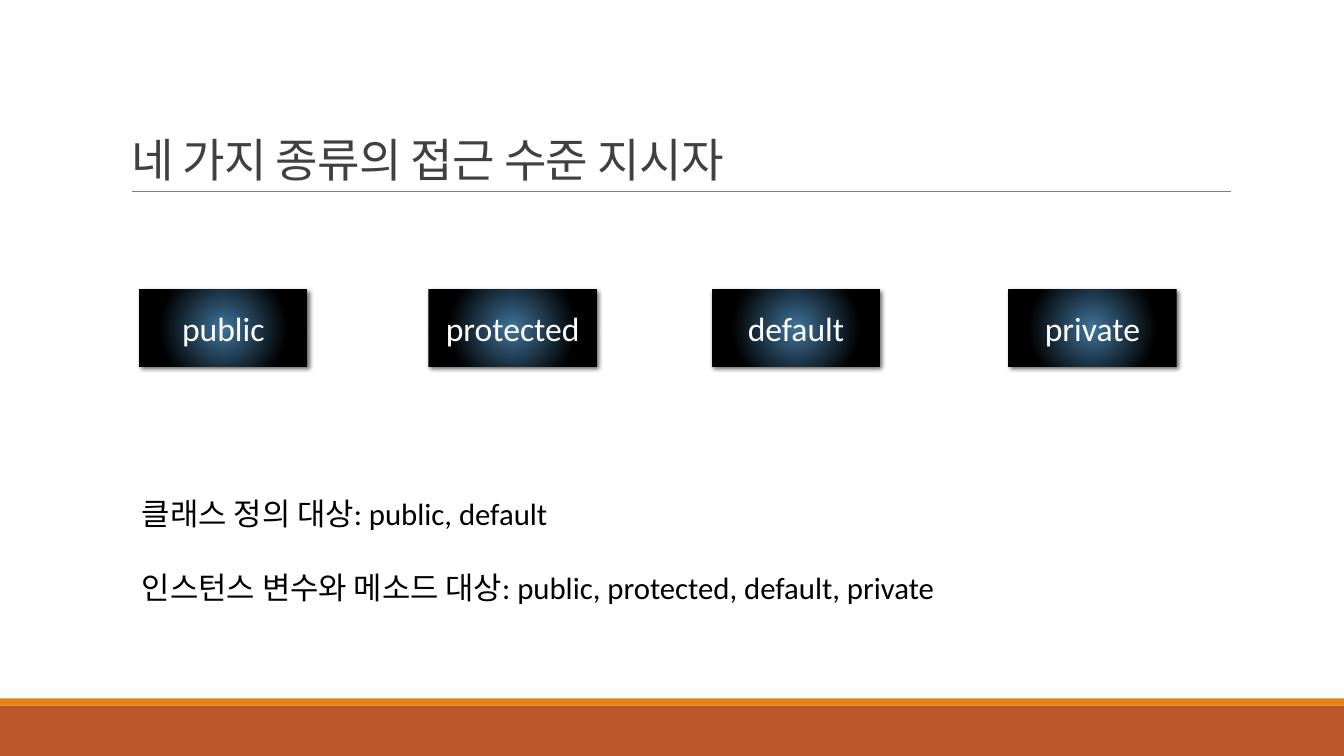
from dataclasses import dataclass
from typing import Any

from lxml.etree import SubElement
from pptx import Presentation
from pptx.dml.color import RGBColor
from pptx.enum.shapes import MSO_CONNECTOR, MSO_SHAPE
from pptx.enum.text import MSO_ANCHOR, MSO_AUTO_SIZE, PP_ALIGN
from pptx.oxml import parse_xml
from pptx.oxml.ns import nsdecls, qn
from pptx.slide import Slide
from pptx.util import Inches, Pt

WHITE = RGBColor(0xFF, 0xFF, 0xFF)
BLACK = RGBColor(0x00, 0x00, 0x00)
RUST = RGBColor(0xBD, 0x58, 0x2C)
ORANGE = RGBColor(0xE4, 0x83, 0x12)
GRAY = RGBColor(0x80, 0x80, 0x80)
CHARCOAL = RGBColor(0x40, 0x40, 0x40)
STEEL_BLUE = RGBColor(0x40, 0x74, 0x9B)

GLOW_STOPS = ((0, STEEL_BLUE), (70, BLACK), (87, BLACK), (100, BLACK))
SLIDE_WIDTH = 13.33


@dataclass(frozen=True)
class Band:
    top: float
    height: float
    color: RGBColor


@dataclass(frozen=True)
class AccessLevel:
    keyword: str
    left: float


BANDS = (Band(7, 0.5, RUST), Band(6.93, 0.07, ORANGE))
ACCESS_LEVELS = (
    AccessLevel("public", 1.38),
    AccessLevel("protected", 4.25),
    AccessLevel("default", 7.06),
    AccessLevel("private", 10),
)
TARGETS = (
    "클래스 정의 대상: public, default",
    "인스턴스 변수와 메소드 대상: public, protected, default, private",
)


def apply_format(target: Any, values: dict[str, Any]) -> None:
    for name, value in values.items():
        setattr(target, name, value)


def write_paragraph(paragraph: Any, text: str, size: float, color: RGBColor,
                    **layout: Any) -> Any:
    apply_format(paragraph, layout)
    run = paragraph.add_run()
    run.text = text
    apply_format(run.font, {"name": "Calibri", "size": Pt(size)})
    run.font.color.rgb = color
    return run


def add_title(slide: Slide) -> None:
    title = slide.shapes.title
    apply_format(title, {"left": Inches(1.2), "top": Inches(0.31),
                         "width": Inches(9.47), "height": Inches(1.59)})
    apply_format(title.text_frame, {"word_wrap": True, "auto_size": MSO_AUTO_SIZE.NONE,
                                    "vertical_anchor": MSO_ANCHOR.BOTTOM})
    heading = write_paragraph(title.text_frame.paragraphs[0], "네 가지 종류의 접근 수준 지시자",
                              33, CHARCOAL, alignment=PP_ALIGN.LEFT, line_spacing=0.85)
    heading.font._element.set("spc", "-50")


def add_band(slide: Slide, band: Band) -> None:
    strip = slide.shapes.add_shape(MSO_SHAPE.RECTANGLE, 0, Inches(band.top),
                                   Inches(SLIDE_WIDTH), Inches(band.height))
    strip.shadow.inherit = False
    strip.fill.solid()
    strip.fill.fore_color.rgb = band.color
    strip.line.fill.background()


def add_title_rule(slide: Slide) -> None:
    rule = slide.shapes.add_connector(MSO_CONNECTOR.STRAIGHT, Inches(1.31), Inches(1.9),
                                      Inches(12.21), Inches(1.9))
    rule.line.color.rgb = GRAY
    rule.line.width = Pt(0.5)
    SubElement(rule._element.spPr, qn("a:effectLst"))


def add_glow_and_shadow(box: Any) -> None:
    stops = "".join(
        f'<a:gs pos="{position * 1000}"><a:srgbClr val="{color}"/></a:gs>'
        for position, color in GLOW_STOPS
    )
    glow = parse_xml(
        f'<a:gradFill {nsdecls("a")} rotWithShape="1"><a:gsLst>{stops}</a:gsLst>'
        '<a:path path="circle"><a:fillToRect l="50000" t="50000" r="50000" b="50000"/>'
        '</a:path></a:gradFill>'
    )
    properties = box._element.spPr
    properties.find(qn("a:prstGeom")).addnext(glow)
    shadow = parse_xml(
        f'<a:outerShdw {nsdecls("a")} blurRad="{Pt(3.5)}" dist="{Pt(2)}" dir="2700000" '
        f'algn="tl" rotWithShape="0"><a:srgbClr val="{BLACK}"><a:alpha val="60000"/>'
        '</a:srgbClr></a:outerShdw>'
    )
    properties.find(qn("a:effectLst")).append(shadow)


def add_access_level(slide: Slide, level: AccessLevel) -> None:
    box = slide.shapes.add_shape(MSO_SHAPE.RECTANGLE, Inches(level.left), Inches(2.87),
                                 Inches(1.67), Inches(0.77))
    box.line.fill.background()
    box.shadow.inherit = False
    add_glow_and_shadow(box)
    box.text_frame.vertical_anchor = MSO_ANCHOR.MIDDLE
    write_paragraph(box.text_frame.paragraphs[0], level.keyword, 24, WHITE,
                    alignment=PP_ALIGN.CENTER)


def add_targets(slide: Slide) -> None:
    frame = slide.shapes.add_textbox(Inches(1.31), Inches(4.49), Inches(8.95),
                                     Inches(1.58)).text_frame
    apply_format(frame, {"word_wrap": True, "auto_size": MSO_AUTO_SIZE.SHAPE_TO_FIT_TEXT})
    for index, target in enumerate(TARGETS):
        paragraph = frame.add_paragraph() if index else frame.paragraphs[0]
        write_paragraph(paragraph, target, 22, BLACK, line_spacing=2.0)


def main() -> None:
    presentation = Presentation()
    apply_format(presentation, {"slide_width": Inches(SLIDE_WIDTH),
                                "slide_height": Inches(7.5)})
    slide = presentation.slides.add_slide(presentation.slide_layouts[5])
    slide.background.fill.solid()
    slide.background.fill.fore_color.rgb = WHITE
    add_title(slide)
    for band in BANDS:
        add_band(slide, band)
    add_title_rule(slide)
    for level in ACCESS_LEVELS:
        add_access_level(slide, level)
    add_targets(slide)
    presentation.save("out.pptx")


if __name__ == "__main__":
    main()
